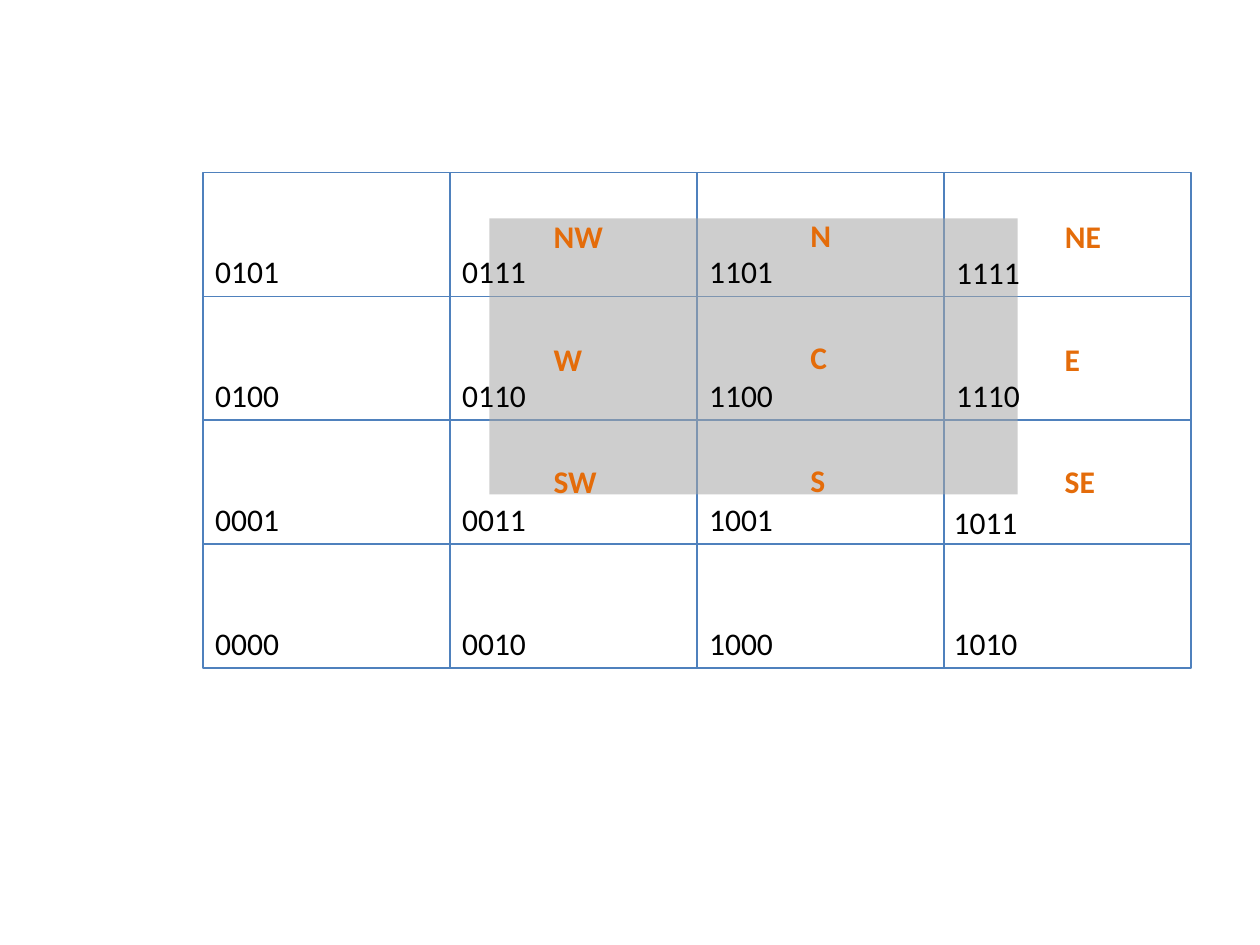
from itertools import product
from typing import NamedTuple

from lxml import etree
from pptx import Presentation
from pptx import util as u
from pptx.dml.color import RGBColor
from pptx.enum import shapes, text
from pptx.oxml.ns import qn

# Grid of 4 x 4 cells, in inches
LEFT, TOP = 1.61, 1.37
CELL_WIDTH, CELL_HEIGHT = 1.96, 3.93 / 4
LABEL_HEIGHT = 0.4
BLUE, GREY, ORANGE, BLACK = "4F81BD", "A6A6A6", "E46C0A", "000000"


class Label(NamedTuple):
    """A text placed by columns and rows of the grid."""
    words: str
    column: float
    row: float
    width: float
    wrap: bool
    format: dict


CODE_FORMAT = {"size": u.Pt(18), "name": "Calibri", "bold": False}
COMPASS_FORMAT = CODE_FORMAT | {"bold": True}

CODES = [
    ["0101", "0111", "1101", "1111"],
    ["0100", "0110", "1100", "1110"],
    ["0001", "0011", "1001", "1011"],
    ["0000", "0010", "1000", "1010"],
]
# Small shifts of single codes, in columns and rows
CODE_SHIFTS = {"1111": (0, 0.01), "1011": (-0.01, 0.03), "1010": (-0.01, 0)}

# Column, first row, and the directions with their widths from top to bottom
COMPASS = [
    (1.37, 0.31, [("NW", 0.61), ("W", 0.44), ("SW", 0.57)]),
    (2.41, 0.30, [("N", 0.36), ("C", 0.34), ("S", 0.32)]),
    (3.44, 0.31, [("NE", 0.49), ("E", 0.33), ("SE", 0.44)]),
]
COMPASS_PITCH = 0.99


def color(value: str) -> RGBColor:
    return RGBColor.from_string(value)


def place(column: float, row: float) -> tuple:
    return u.Inches(LEFT + column * CELL_WIDTH), u.Inches(TOP + row * CELL_HEIGHT)


def add_rectangle(slide, column: float, row: float, columns: float, rows: float):
    shape = slide.shapes.add_shape(
        shapes.MSO_SHAPE.RECTANGLE, *place(column, row),
        u.Inches(columns * CELL_WIDTH), u.Inches(rows * CELL_HEIGHT))
    shape.shadow.inherit = False
    return shape


def outline(shape) -> None:
    shape.line.color.rgb = color(BLUE)
    shape.line.width = u.Pt(1)


def add_divider(slide, quadrant, begin: int, end: int) -> None:
    line = slide.shapes.add_connector(shapes.MSO_CONNECTOR.STRAIGHT, 0, 0, 0, 0)
    line.begin_connect(quadrant, begin)
    line.end_connect(quadrant, end)
    outline(line)
    etree.SubElement(line._element.spPr, qn("a:effectLst"))


def add_window(slide) -> None:
    window = add_rectangle(slide, 1.16, 0.37, 2.14, 2.23)
    window.fill.solid()
    window.fill.fore_color.rgb = color(GREY)
    window.line.fill.background()
    fill_color = window._element.spPr.find(qn("a:solidFill"))[0]
    etree.SubElement(fill_color, qn("a:alpha"), val="55000")


def add_label(slide, label: Label, font_color: str) -> None:
    box = slide.shapes.add_textbox(
        *place(label.column, label.row), u.Inches(label.width), u.Inches(LABEL_HEIGHT))
    frame = box.text_frame
    frame.word_wrap = label.wrap
    frame.auto_size = text.MSO_AUTO_SIZE.SHAPE_TO_FIT_TEXT
    run = frame.paragraphs[0].add_run()
    run.text = label.words
    for attribute, value in label.format.items():
        setattr(run.font, attribute, value)
    run.font.color.rgb = color(font_color)


def main() -> None:
    presentation = Presentation()
    presentation.slide_width, presentation.slide_height = u.Inches(10), u.Inches(7.5)
    slide = presentation.slides.add_slide(presentation.slide_layouts[6])

    # Four quadrants, each split both ways into four cells
    quadrants = [add_rectangle(slide, column, row, 2, 2)
                 for row, column in product((0, 2), repeat=2)]
    for quadrant in quadrants:
        quadrant.fill.background()
        outline(quadrant)
    for quadrant in quadrants:
        add_divider(slide, quadrant, 0, 2)
        add_divider(slide, quadrant, 1, 3)

    # Translucent search window
    add_window(slide)

    # Cell codes, standing on the bottom of their cells
    for row, codes in enumerate(CODES):
        for column, code in enumerate(codes):
            right, down = CODE_SHIFTS.get(code, (0, 0))
            bottom = row + 1 - LABEL_HEIGHT / CELL_HEIGHT
            add_label(slide, Label(code, column + right, bottom + down, 0.73,
                                   True, CODE_FORMAT), BLACK)

    # Compass directions around the centre cell
    for column, first_row, directions in COMPASS:
        for step, (words, width) in enumerate(directions):
            add_label(slide, Label(words, column, first_row + step * COMPASS_PITCH,
                                   width, False, COMPASS_FORMAT), ORANGE)

    presentation.save("out.pptx")


if __name__ == "__main__":
    main()
